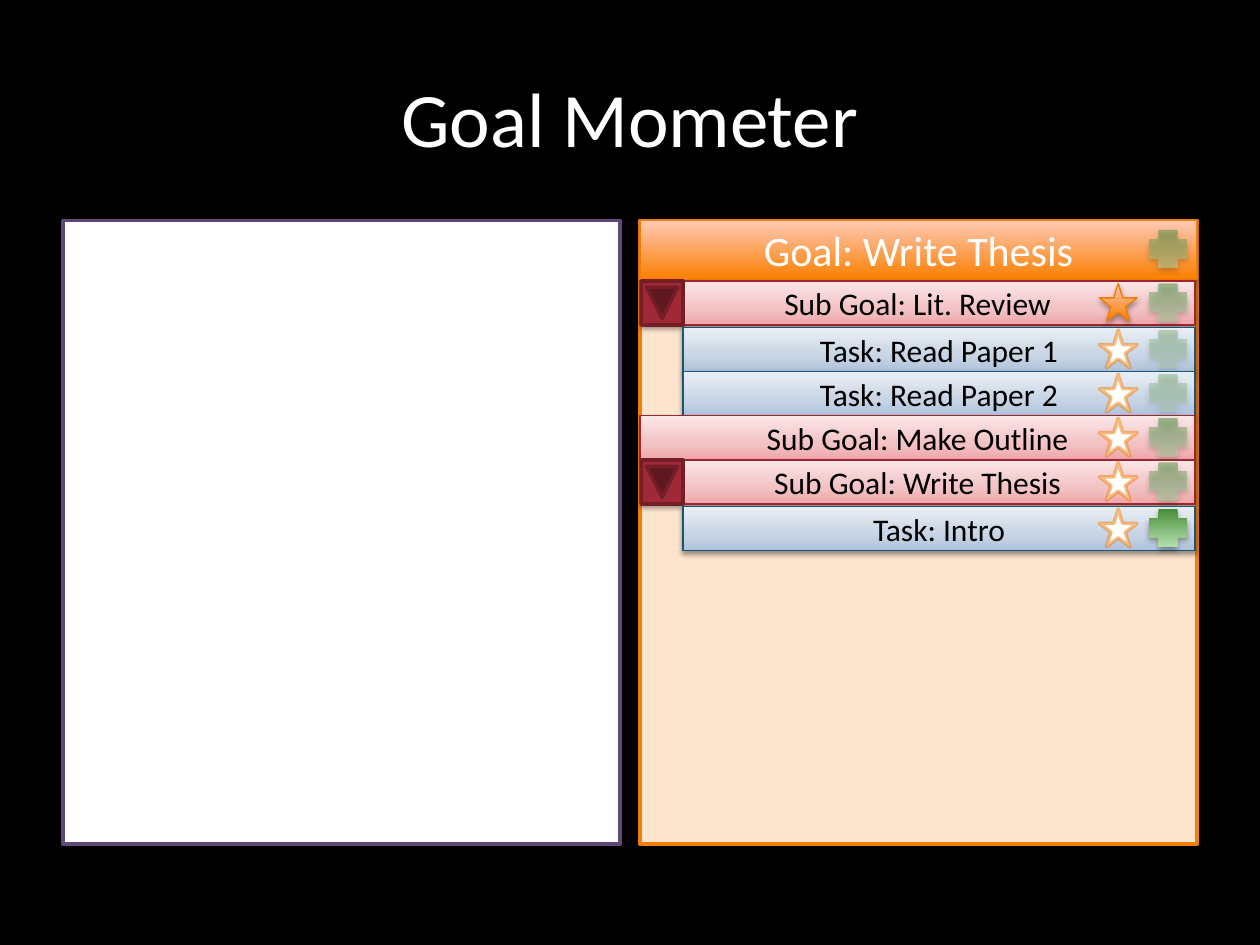
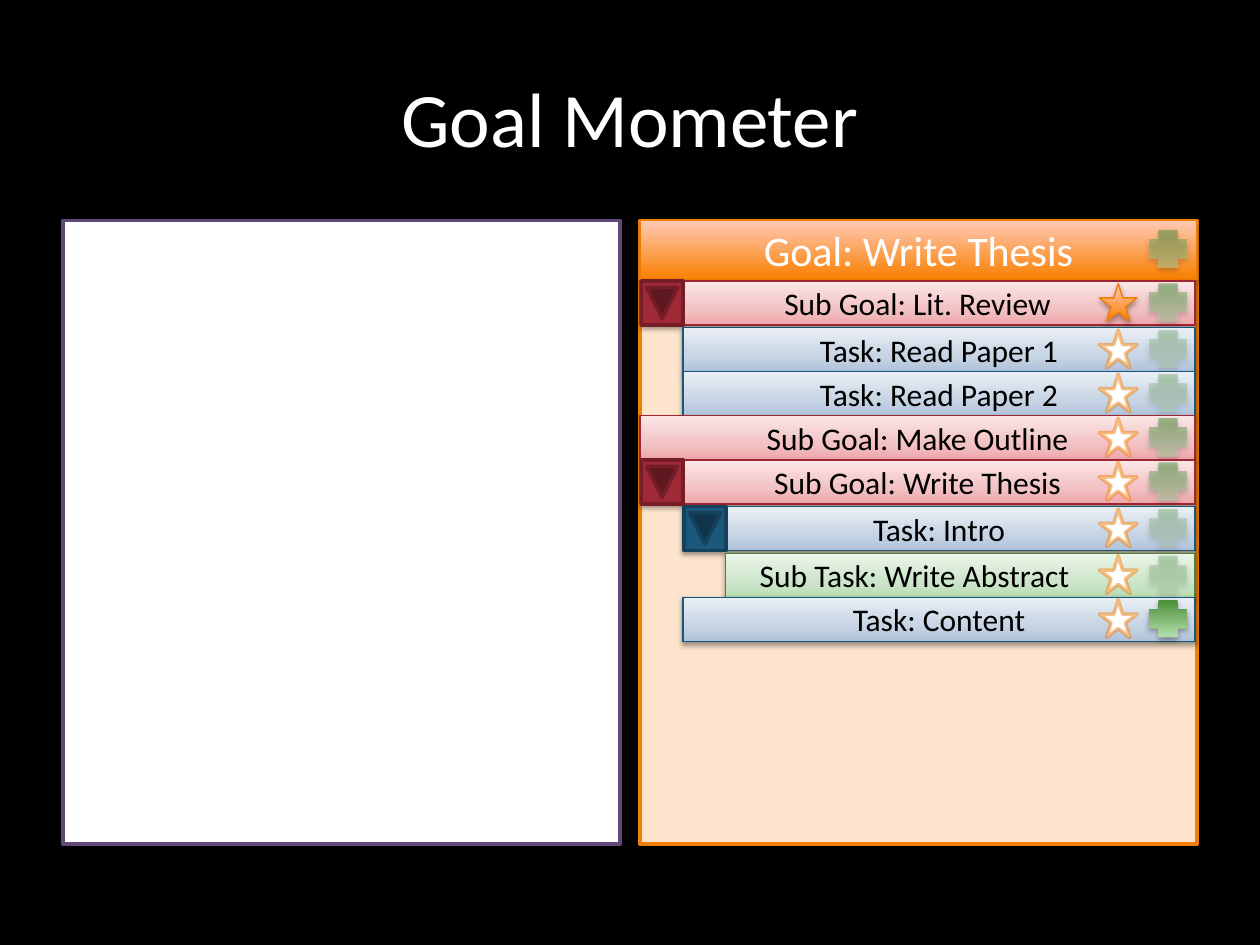
from dataclasses import dataclass
from typing import NamedTuple

from lxml import etree
from pptx import Presentation
from pptx.dml.color import RGBColor
from pptx.enum.shapes import MSO_SHAPE
from pptx.enum.text import MSO_ANCHOR, PP_ALIGN
from pptx.oxml.ns import qn
from pptx.util import Emu, Inches, Pt

RECTANGLE = MSO_SHAPE.RECTANGLE
PLUS = MSO_SHAPE.CROSS
STAR = MSO_SHAPE.STAR_5_POINT
TOGGLE = MSO_SHAPE.ACTION_BUTTON_FORWARD_OR_NEXT
CENTER = PP_ALIGN.CENTER
LEFT = PP_ALIGN.LEFT
MIDDLE = MSO_ANCHOR.MIDDLE

BLACK = RGBColor(0x00, 0x00, 0x00)
WHITE = RGBColor(0xFF, 0xFF, 0xFF)
PURPLE = RGBColor(0x60, 0x48, 0x78)
PEACH = RGBColor(0xFD, 0xE5, 0xCD)
ORANGE = RGBColor(0xF0, 0x7F, 0x09)
ORANGE_EDGE = RGBColor(0xF0, 0x7C, 0x03)
ORANGE_DEEP = RGBColor(0xF9, 0x7F, 0x00)
ORANGE_PALE = RGBColor(0xFF, 0xC9, 0xB5)
PLUS_DEEP = RGBColor(0x48, 0x8F, 0x38)
PLUS_PALE = RGBColor(0xB5, 0xDF, 0xAF)
RED = RGBColor(0x9F, 0x29, 0x36)
RED_DARK = RGBColor(0x76, 0x1E, 0x28)
BLUE = RGBColor(0x1B, 0x58, 0x7C)
BLUE_DARK = RGBColor(0x14, 0x41, 0x5C)

FONT = "Calibri"

# The slide is a grid of 100 columns and 75 rows
COLUMNS, ROWS = 100, 75
SLIDE_WIDTH, SLIDE_HEIGHT = Inches(10), Inches(7.5)
COLUMN, ROW = SLIDE_WIDTH / COLUMNS, SLIDE_HEIGHT / ROWS

PANEL_TOP, PANEL_WIDTH, PANEL_HEIGHT = 17.5, 44.2, 49.5
NOTES_LEFT = 5
GOALS_LEFT = COLUMNS - NOTES_LEFT - PANEL_WIDTH
GOAL_HEIGHT = 4.7
ITEMS_TOP, ITEMS_RIGHT = 22.3, 94.85
ITEM_HEIGHT, OPEN_ITEM_GAP = 3.5, 0.2
INDENT = 3.4
ICON_SIZE, ICON_INSET = 3, 0.2
STAR_LEFT, PLUS_LEFT = 87.25, 91.2


class Box(NamedTuple):
    left: float
    top: float
    width: float
    height: float

    def lengths(self) -> list[Emu]:
        units = (COLUMN, ROW, COLUMN, ROW)
        return [Emu(round(value * unit)) for value, unit in zip(self, units)]


class Stop(NamedTuple):
    percent: int
    color: RGBColor


class Outline(NamedTuple):
    color: RGBColor
    points: float
    opacity: int = 100


class Shadow(NamedTuple):
    opacity: int
    distance: float
    blur: float = 3.1


@dataclass(frozen=True)
class Level:
    indent: int
    stops: tuple[Stop, ...]
    edge: RGBColor
    plus_opacity: int
    toggle_fill: RGBColor = BLUE
    toggle_edge: RGBColor = BLUE_DARK
    align: PP_ALIGN = CENTER
    text_inset: float = 1


@dataclass(frozen=True)
class Item:
    level: Level
    text: str
    is_open: bool = False
    starred: bool = False
    active: bool = False


ORANGE_STOPS = (Stop(0, ORANGE_DEEP), Stop(100, ORANGE_PALE))
PLUS_STOPS = (Stop(0, PLUS_DEEP), Stop(100, PLUS_PALE))
STRONG_SHADOW = Shadow(35, 1.8)
ITEM_SHADOW = Shadow(38, 1.6)

SUB_GOAL = Level(
    0,
    (Stop(0, RGBColor(0xEE, 0xA6, 0xA9)), Stop(35, RGBColor(0xF2, 0xC1, 0xC3)),
     Stop(100, RGBColor(0xFB, 0xE7, 0xE7))),
    RGBColor(0x9E, 0x25, 0x33), 50, RED, RED_DARK)
TASK = Level(
    1,
    (Stop(0, RGBColor(0xAF, 0xC2, 0xDA)), Stop(35, RGBColor(0xC7, 0xD4, 0xE4)),
     Stop(100, RGBColor(0xEA, 0xEF, 0xF5))),
    RGBColor(0x18, 0x57, 0x7C), 30)
SUB_TASK = Level(
    2,
    (Stop(0, RGBColor(0xB8, 0xDC, 0xB3)), Stop(35, RGBColor(0xCD, 0xE5, 0xCA)),
     Stop(100, RGBColor(0xEC, 0xF6, 0xEA))),
    RGBColor(0x4B, 0x84, 0x3F), 30, align=LEFT, text_inset=2.7)

SHARED_ITEMS = [
    Item(SUB_GOAL, "Sub Goal: Lit. Review", is_open=True, starred=True),
    Item(TASK, "Task: Read Paper 1"),
    Item(TASK, "Task: Read Paper 2"),
    Item(SUB_GOAL, "Sub Goal: Make Outline"),
    Item(SUB_GOAL, "Sub Goal: Write Thesis", is_open=True),
]
SLIDE_ITEMS = [
    SHARED_ITEMS + [Item(TASK, "Task: Intro", active=True)],
    SHARED_ITEMS + [
        Item(TASK, "Task: Intro", is_open=True),
        Item(SUB_TASK, "Sub Task: Write Abstract"),
        Item(TASK, "Task: Content", active=True),
    ],
]


def add_alpha(color_element, opacity: int) -> None:
    if opacity < 100:
        etree.SubElement(color_element, qn("a:alpha"), val=str(opacity * 1000))


def fill_gradient(shape, stops: tuple[Stop, ...], opacity: int) -> None:
    """Run the stops from the bottom of the shape to its top."""
    shape.fill.gradient()
    shape.fill.gradient_angle = 90
    stop_list = shape._element.spPr.find(".//" + qn("a:gsLst"))
    stop_list.clear()
    for stop in stops:
        entry = etree.SubElement(stop_list, qn("a:gs"), pos=str(stop.percent * 1000))
        color = etree.SubElement(entry, qn("a:srgbClr"), val=str(stop.color))
        add_alpha(color, opacity)


def add_shadow(shape, shadow: Shadow) -> None:
    effects = shape._element.spPr.find(qn("a:effectLst"))
    outer = etree.SubElement(
        effects, qn("a:outerShdw"), blurRad=str(Pt(shadow.blur)),
        dist=str(Pt(shadow.distance)), dir="5400000", rotWithShape="0")
    color = etree.SubElement(outer, qn("a:srgbClr"), val=str(BLACK))
    add_alpha(color, shadow.opacity)


def draw_shape(slide, kind: MSO_SHAPE, box: Box, fill: RGBColor | tuple[Stop, ...],
               outline: Outline | None = None, shadow: Shadow | None = None,
               opacity: int = 100):
    shape = slide.shapes.add_shape(kind, *box.lengths())
    shape.shadow.inherit = False
    if isinstance(fill, RGBColor):
        shape.fill.solid()
        shape.fill.fore_color.rgb = fill
    else:
        fill_gradient(shape, fill, opacity)
    if outline:
        shape.line.color.rgb = outline.color
        shape.line.width = Pt(outline.points)
        add_alpha(shape.line._ln.find(".//" + qn("a:srgbClr")), outline.opacity)
    else:
        shape.line.fill.background()
    if shadow:
        add_shadow(shape, shadow)
    return shape


def write(shape, text: str, size: int, color: RGBColor,
          align: PP_ALIGN = CENTER, inset: float = 1) -> None:
    frame = shape.text_frame
    frame.word_wrap = True
    frame.vertical_anchor = MIDDLE
    frame.margin_left = Emu(round(inset * COLUMN))
    paragraph = frame.paragraphs[0]
    paragraph.text = text
    paragraph.alignment = align
    paragraph.font.name = FONT
    paragraph.font.size = Pt(size)
    paragraph.font.color.rgb = color


def draw_plus(slide, top: float, opacity: int) -> None:
    plus = draw_shape(slide, PLUS, Box(PLUS_LEFT, top, ICON_SIZE, ICON_SIZE),
                      PLUS_STOPS, shadow=STRONG_SHADOW, opacity=opacity)
    plus._element.spPr.find(qn("a:xfrm")).set("flipV", "1")


def draw_star(slide, top: float, starred: bool) -> None:
    box = Box(STAR_LEFT, top, ICON_SIZE, ICON_SIZE)
    if starred:
        draw_shape(slide, STAR, box, ORANGE_STOPS, Outline(ORANGE_EDGE, 0.75), STRONG_SHADOW)
    else:
        draw_shape(slide, STAR, box, WHITE, Outline(ORANGE, 2, opacity=50))


def draw_item(slide, item: Item, top: float) -> None:
    level = item.level
    left = GOALS_LEFT + level.indent * INDENT
    bar = draw_shape(slide, RECTANGLE, Box(left, top, ITEMS_RIGHT - left, ITEM_HEIGHT),
                     level.stops, Outline(level.edge, 0.75), ITEM_SHADOW)
    write(bar, item.text, 18, BLACK, level.align, level.text_inset)
    draw_plus(slide, top + ICON_INSET, 100 if item.active else level.plus_opacity)
    draw_star(slide, top + ICON_INSET, item.starred)
    if item.is_open:
        toggle = draw_shape(slide, TOGGLE, Box(left, top + 0.1, ITEM_HEIGHT, 3.3),
                            level.toggle_fill, Outline(level.toggle_edge, 2))
        toggle.rotation = 90


def draw_frame(slide) -> None:
    """Draw what every slide shares: background, title, both panels, the goal."""
    slide.background.fill.solid()
    slide.background.fill.fore_color.rgb = BLACK
    draw_shape(slide, RECTANGLE, Box(NOTES_LEFT, PANEL_TOP, PANEL_WIDTH, PANEL_HEIGHT),
               WHITE, Outline(PURPLE, 2))
    title = slide.shapes.add_textbox(*Box(5, 3, 90, 12.5).lengths())
    write(title, "Goal Mometer", 44, WHITE)
    draw_shape(slide, RECTANGLE, Box(GOALS_LEFT, PANEL_TOP, PANEL_WIDTH, PANEL_HEIGHT),
               PEACH, Outline(ORANGE, 2))
    goal = draw_shape(slide, RECTANGLE, Box(GOALS_LEFT, PANEL_TOP, PANEL_WIDTH, GOAL_HEIGHT),
                      ORANGE_STOPS, Outline(ORANGE_EDGE, 0.75), STRONG_SHADOW)
    write(goal, "Goal: Write Thesis", 24, WHITE)
    draw_plus(slide, PANEL_TOP + 0.75, 50)


def main() -> None:
    deck = Presentation()
    deck.slide_width, deck.slide_height = SLIDE_WIDTH, SLIDE_HEIGHT
    blank = deck.slide_layouts[6]
    for items in SLIDE_ITEMS:
        slide = deck.slides.add_slide(blank)
        draw_frame(slide)
        top = ITEMS_TOP
        for item in items:
            draw_item(slide, item, top)
            top += ITEM_HEIGHT + (OPEN_ITEM_GAP if item.is_open else 0)
    deck.save("out.pptx")


if __name__ == "__main__":
    main()
